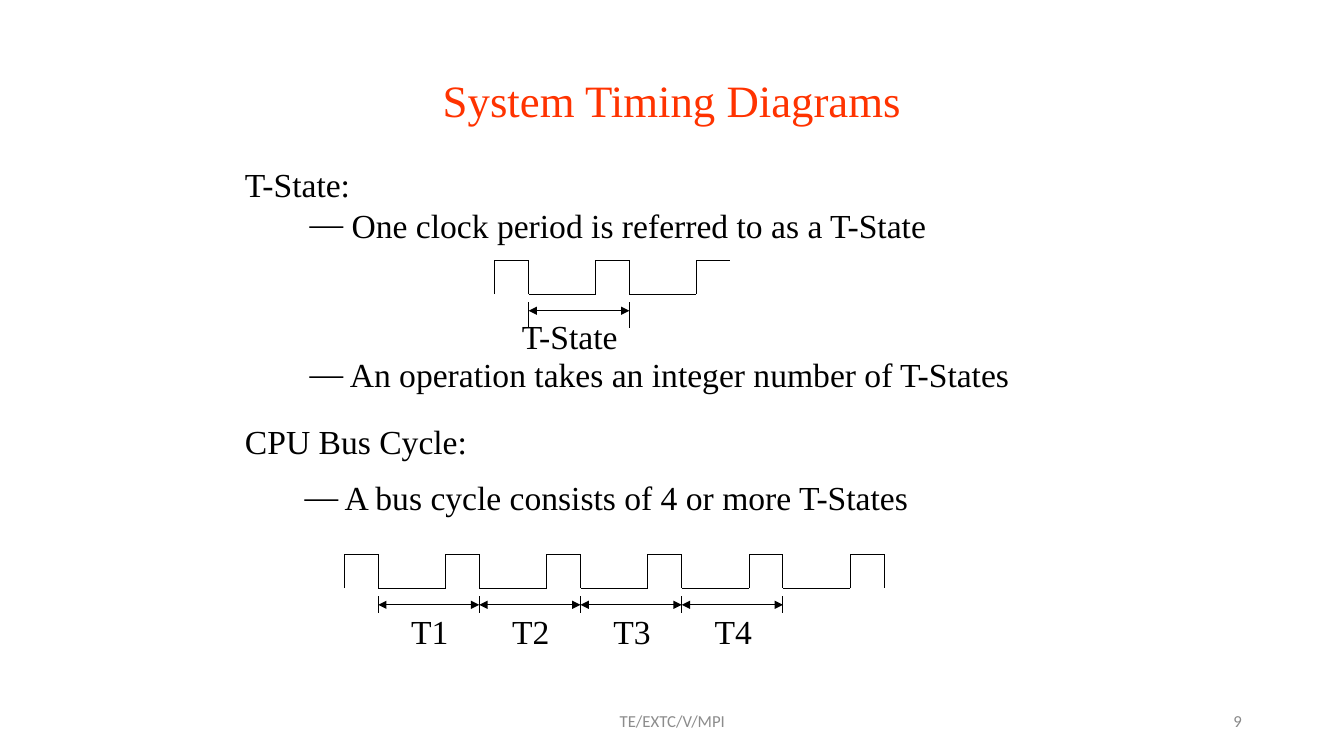
from lxml import etree
from pptx import Presentation
from pptx.dml.color import RGBColor
from pptx.enum.shapes import MSO_CONNECTOR
from pptx.enum.text import MSO_ANCHOR, MSO_AUTO_SIZE, PP_ALIGN
from pptx.oxml.ns import qn
from pptx.util import Cm, Pt

STRAIGHT = MSO_CONNECTOR.STRAIGHT
MIDDLE, TOP = MSO_ANCHOR.MIDDLE, MSO_ANCHOR.TOP
LEFT, CENTER, RIGHT = PP_ALIGN.LEFT, PP_ALIGN.CENTER, PP_ALIGN.RIGHT
NO_AUTOFIT = MSO_AUTO_SIZE.NONE
SERIF, SANS = "Times New Roman", "Calibri"
COLORS = {"title": "FF3300", "ink": "000000", "footer": "8C8C8C", "number": "898989"}

presentation = Presentation()
presentation.slide_width = Cm(33.87)
presentation.slide_height = Cm(19.05)
slide = presentation.slides.add_slide(presentation.slide_layouts[3])
shapes = slide.shapes


def fill_text(shape, box, lines, size, font, color, alignment=LEFT, anchor=TOP, wrap=True):
    shape.left, shape.top, shape.width, shape.height = [Cm(value) for value in box]
    frame = shape.text_frame
    frame.text = "\n".join(lines)
    frame.auto_size = NO_AUTOFIT
    frame.word_wrap = wrap
    frame.vertical_anchor = anchor
    for paragraph in frame.paragraphs:
        paragraph.alignment = alignment
        paragraph.space_before = Pt(0)
        run_font = paragraph.runs[0].font
        run_font.name, run_font.size = font, Pt(size)
        run_font.color.rgb = RGBColor.from_string(COLORS[color])


def add_line(x1, y1, x2, y2, arrows=False):
    connector = shapes.add_connector(STRAIGHT, Cm(x1), Cm(y1), Cm(x2), Cm(y2))
    connector.line.width = Pt(0.75)
    connector.line.color.rgb = RGBColor.from_string(COLORS["ink"])
    properties = connector._element.spPr
    if arrows:
        for end in ("a:headEnd", "a:tailEnd"):
            etree.SubElement(properties.find(qn("a:ln")), qn(end), type="triangle")
    etree.SubElement(properties, qn("a:effectLst"))


fill_text(shapes.title, (5.72, 1.7, 22.43, 1.6), ["System Timing Diagrams"],
          32, SERIF, "title", CENTER, MIDDLE)

sections = [
    (1, (5.92, 4.01, 22, 5.97), 1.63, [0, 0, 78],
     ["T-State:", " One clock period is referred to as a T-State",
      " An operation takes an integer number of T-States"]),
    (2, (5.92, 10.49, 22, 2.64), 1.5, [0, 11],
     ["CPU Bus Cycle:", " A bus cycle consists of 4 or more T-States"]),
]
for index, box, indent, gaps, lines in sections:
    body = slide.placeholders[index]
    fill_text(body, box, lines, 24, SERIF, "ink")
    for number, (paragraph, gap) in enumerate(zip(body.text_frame.paragraphs, gaps)):
        paragraph.space_before = Pt(gap)
        properties = paragraph._p.get_or_add_pPr()
        properties.set("marL", str(Cm(indent) if number else 0))
        properties.set("indent", "0")
        if number:
            etree.SubElement(properties, qn("a:buFont"), typeface=SERIF)
            etree.SubElement(properties, qn("a:buChar"), char="—")
        else:
            etree.SubElement(properties, qn("a:buNone"))

PULSE = 0.85
waves = [
    (12.47, 6.56, 2.54, 3, False, (7.62, 7.83, 8.26), ["T-State"], (12.9, 7.83, 3)),
    (8.68, 13.97, 2.55, 6, True, (15.03, 15.24, 15.45),
     ["T1", "T2", "T3", "T4"], (10.11, 15.27, 1.45)),
]
for left, top, period, pulses, closed, marks, labels, label_box in waves:
    bottom = top + PULSE
    for pulse in range(pulses):
        rise = left + pulse * period
        fall = rise + PULSE
        last = pulse == pulses - 1
        add_line(rise, bottom, rise, top)
        add_line(rise, top, fall, top)
        if closed or not last:
            add_line(fall, top, fall, bottom)
        if not last:
            add_line(fall, bottom, rise + period, bottom)

    tick_top, arrow_y, tick_bottom = marks
    first_tick = left + PULSE
    for tick in range(len(labels) + 1):
        x = first_tick + tick * period
        add_line(x, tick_top, x, tick_bottom)
    label_left, label_top, label_width = label_box
    for state, label in enumerate(labels):
        x = first_tick + state * period
        add_line(x, arrow_y, x + period, arrow_y, arrows=True)
        fill_text(shapes.add_textbox(0, 0, 0, 0),
                  (label_left + state * period, label_top, label_width, 1.27),
                  [label], 24, SERIF, "ink", wrap=False)

fill_text(shapes.add_textbox(0, 0, 0, 0), (11.23, 17.65, 11.43, 1.02),
          ["TE/EXTC/V/MPI"], 12, SANS, "footer", CENTER, MIDDLE)
fill_text(shapes.add_textbox(0, 0, 0, 0), (23.93, 17.65, 7.62, 1.02),
          ["9"], 12, SANS, "number", RIGHT, MIDDLE)

presentation.save("out.pptx")
